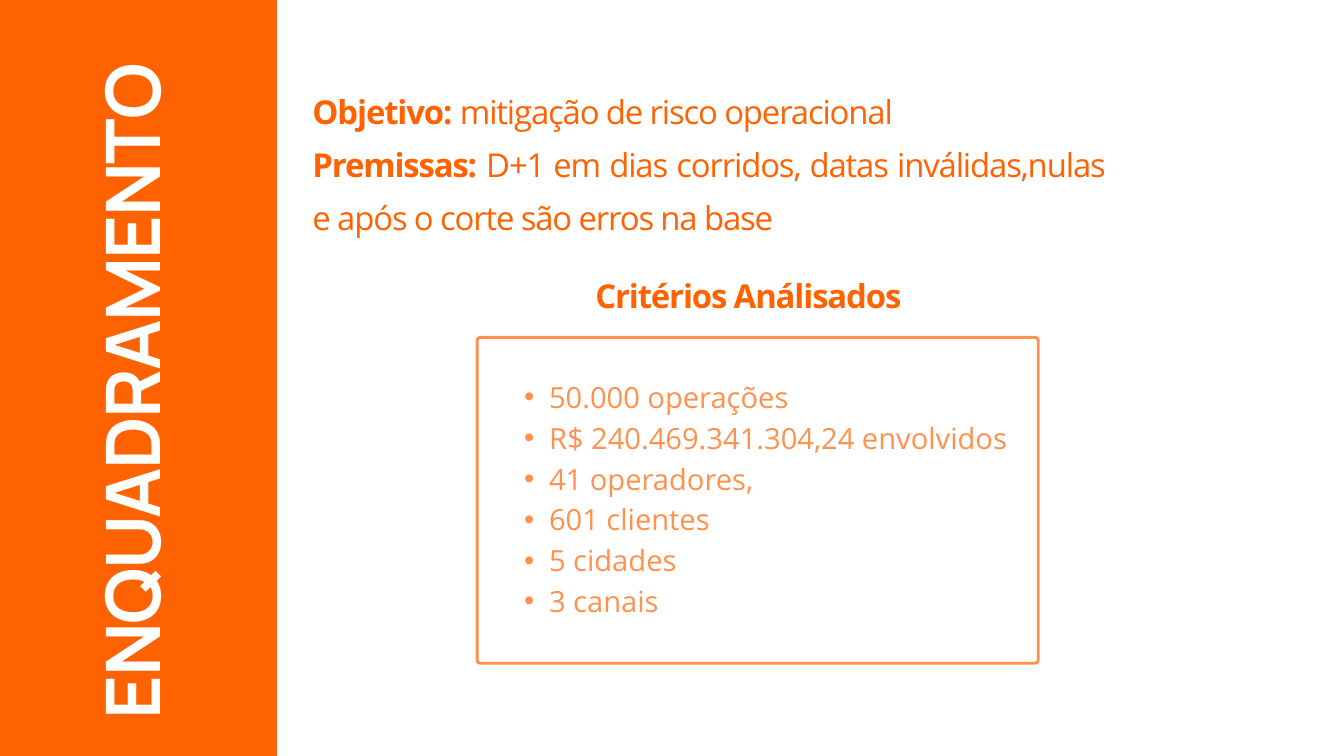
"""Build the ENQUADRAMENTO slide with its goal, premises and criteria."""
from pptx import Presentation
from pptx.dml.color import RGBColor
from pptx.enum.shapes import MSO_SHAPE
from pptx.enum.text import MSO_ANCHOR, MSO_AUTO_SIZE, PP_ALIGN
from pptx.oxml.ns import qn
from pptx.util import Inches, Pt
from lxml.etree import SubElement

HUES = {"main": "FF6200", "soft": "FF914D", "white": "FFFFFF"}


def set_frame(shape, box):
    shape.left, shape.top, shape.width, shape.height = map(Inches, box)
    frame = shape.text_frame
    frame.margin_left = frame.margin_right = 0
    frame.margin_top = frame.margin_bottom = 0
    frame.word_wrap = True
    frame.auto_size = MSO_AUTO_SIZE.NONE
    frame.vertical_anchor = MSO_ANCHOR.TOP
    return frame


def add_run(para, text, size, hue, bold=False, gap=0, face="Open Sans"):
    run = para.add_run()
    run.text = text
    font = run.font
    font.name, font.size, font.bold = face, Pt(size), bold
    font.color.rgb = RGBColor.from_string(HUES[hue])
    if gap:
        run._r.get_or_add_rPr().set("spc", str(round(gap * 100)))


deck = Presentation()
deck.slide_width, deck.slide_height = Inches(20), Inches(11.25)
slide = deck.slides.add_slide(deck.slide_layouts[5])
shapes = slide.shapes
title = shapes.title

band = shapes.add_shape(MSO_SHAPE.RECTANGLE, 0, 0, Inches(4.12), Inches(11.25))
band.shadow.inherit = False
band.fill.solid()
band.fill.fore_color.rgb = RGBColor.from_string(HUES["main"])
band.line.fill.background()
title._element.addprevious(band._element)

para = set_frame(title, (-2.86, 5.11, 10.14, 1.04)).paragraphs[0]
title.rotation = 270
para.alignment = PP_ALIGN.LEFT
para.line_spacing = Pt(66.8)
add_run(para, "ENQUADRAMENTO", 80.5, "white", True, -1.6, "Manrope")

panel = shapes.add_shape(
    MSO_SHAPE.ROUNDED_RECTANGLE, Inches(7.1), Inches(5.02), Inches(8.35), Inches(4.85)
)
panel.adjustments[0] = 0.01
panel.shadow.inherit = False
panel.fill.solid()
panel.fill.fore_color.rgb = RGBColor.from_string(HUES["white"])
panel.line.color.rgb = RGBColor.from_string(HUES["soft"])
panel.line.width = Pt(3)

blocks = [
    ((4.65, 1.16, 11.79, 2.29), [
        ("Objetivo:", " mitigação de risco operacional"),
        ("Premissas:", " D+1 em dias corridos, datas inválidas,nulas e após o corte são erros na base"),
    ]),
    ((8.86, 3.9, 4.57, 0.73), [("Critérios Análisados", "")]),
]
for box, lines in blocks:
    frame = set_frame(shapes.add_textbox(0, 0, 0, 0), box)
    for spot, (label, text) in enumerate(lines):
        para = frame.add_paragraph() if spot else frame.paragraphs[0]
        para.alignment = PP_ALIGN.JUSTIFY
        para.line_spacing = Pt(56.7)
        add_run(para, label, 35.2, "main", True, -1.2)
        if text:
            add_run(para, text, 35.2, "main", False, -1.2)

facts = [
    "50.000 operações",
    "R$ 240.469.341.304,24 envolvidos",
    "41 operadores,",
    "601 clientes",
    "5 cidades",
    "3 canais",
]
frame = set_frame(shapes.add_textbox(0, 0, 0, 0), (7.43, 5.56, 7.69, 3.6))
for spot, fact in enumerate(facts):
    para = frame.add_paragraph() if spot else frame.paragraphs[0]
    para.level = 1
    para.line_spacing = Pt(43.7)
    props = para._p.get_or_add_pPr()
    props.set("marL", str(Inches(0.74)))
    props.set("indent", str(Inches(-0.37)))
    SubElement(props, qn("a:buFont"), typeface="Arial")
    SubElement(props, qn("a:buChar"), char="•")
    add_run(para, fact, 31.2, "soft")

deck.save("out.pptx")
